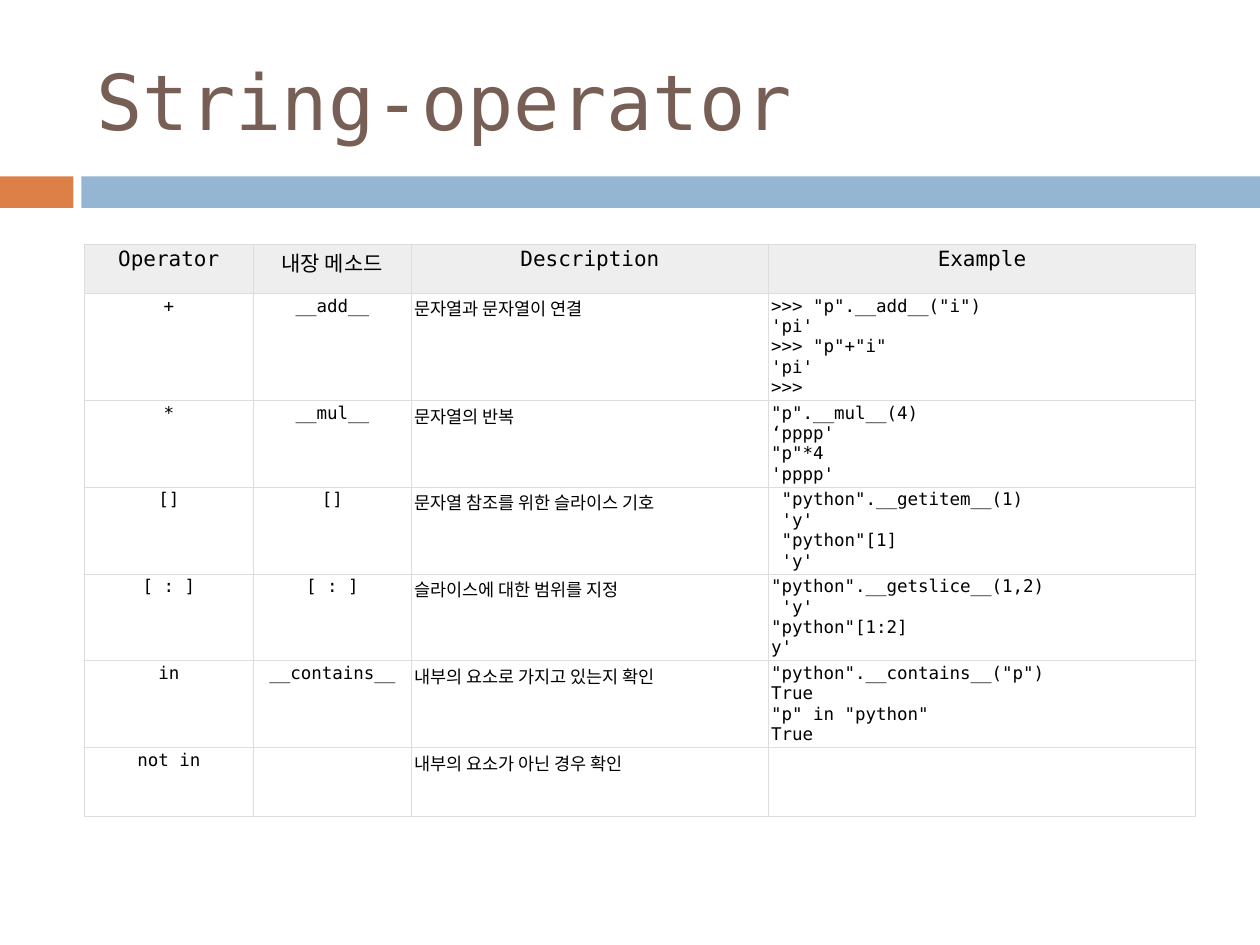
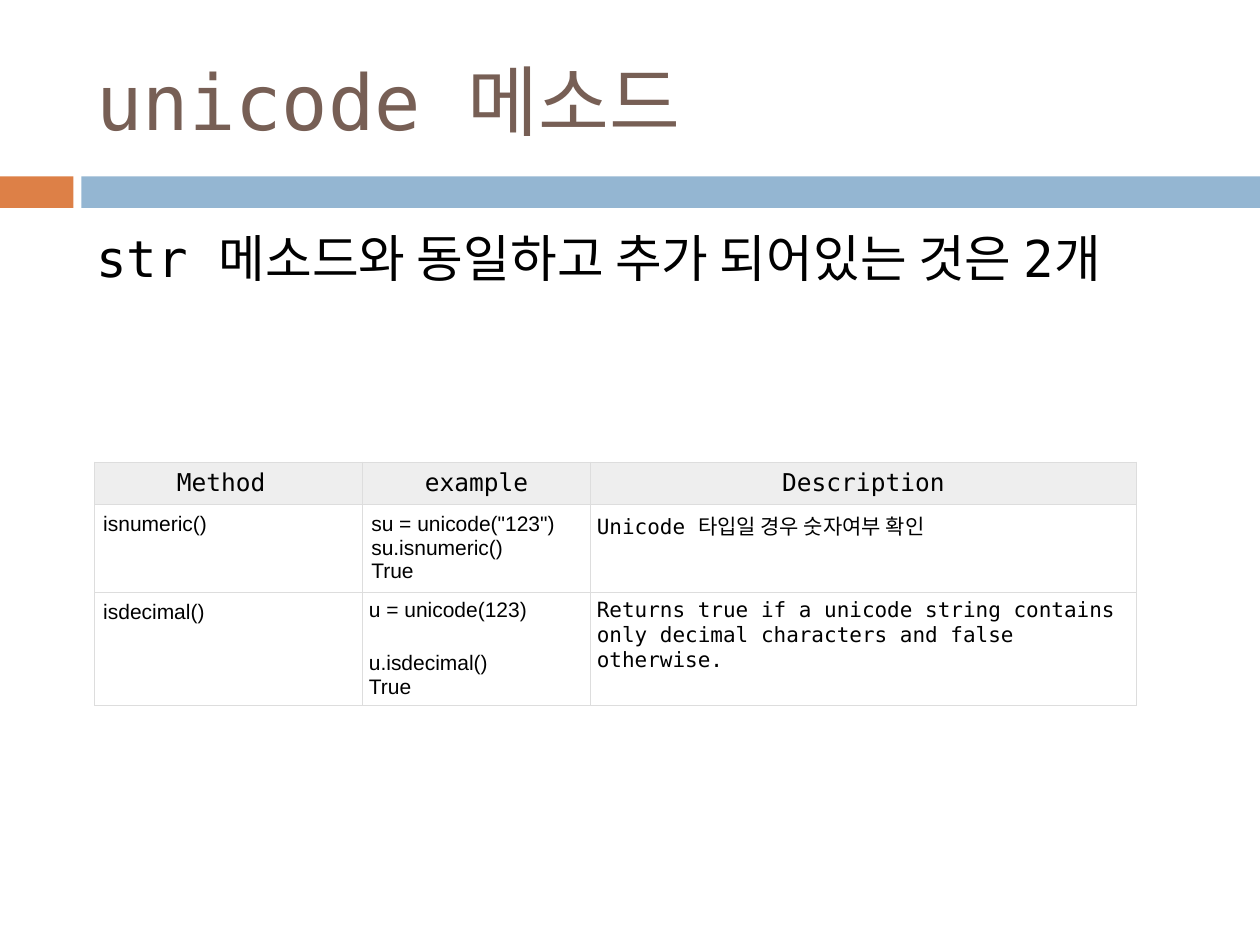
"""Build two slides on string operators and unicode methods."""
from dataclasses import dataclass, replace

from lxml import etree
from pptx import Presentation
from pptx.dml.color import RGBColor
from pptx.enum.shapes import MSO_SHAPE
from pptx.enum.text import MSO_ANCHOR, MSO_AUTO_SIZE, PP_ALIGN
from pptx.oxml.ns import qn
from pptx.util import Pt

RECTANGLE = MSO_SHAPE.RECTANGLE
TOP, MIDDLE = MSO_ANCHOR.TOP, MSO_ANCHOR.MIDDLE
LEFT, CENTER = PP_ALIGN.LEFT, PP_ALIGN.CENTER
NO_FIT = MSO_AUTO_SIZE.NONE

COLORS = {
    "orange": "DD8047",
    "blue": "94B6D2",
    "title": "775F55",
    "text": "000000",
    "header": "EEEEEE",
    "border": "DDDDDD",
}
MONO, SANS = "DejaVu Sans Mono", "Arial"
TITLE_ONLY = 5
BORDER_WIDTH = 0.6


@dataclass(frozen=True)
class Area:
    left: float
    top: float
    width: float
    height: float

    def lengths(self) -> list:
        return [Pt(value) for value in (self.left, self.top, self.width, self.height)]


@dataclass(frozen=True)
class Band:
    area: Area
    color: str


@dataclass(frozen=True)
class TextStyle:
    size: float
    font: str = MONO
    color: str = "text"
    align: PP_ALIGN = LEFT
    inset: float = 1.5
    gap_line: int = 0
    gap: float = 0


@dataclass(frozen=True)
class Grid:
    area: Area
    columns: tuple
    heights: tuple
    header_style: TextStyle
    body_styles: list
    rows: list


BANDS = (
    Band(Area(0, 100.8, 42, 18), "orange"),
    Band(Area(46.5, 100.8, 673.5, 18), "blue"),
)
TITLE_AREA = Area(48, 18, 642, 78)
SUMMARY_AREA = Area(48, 126, 642, 81)
TITLE_STYLE = TextStyle(44, color="title")
SUMMARY_STYLE = TextStyle(29)

CODE = TextStyle(10)
LABEL = replace(CODE, align=CENTER)
OPERATORS = Grid(
    area=Area(48.2, 139.6, 635, 334.8),
    columns=(96.5, 90.5, 204, 244),
    heights=(28, 32.4, 39.6, 25.2, 32.4, 32.4, 39.6),
    header_style=replace(LABEL, size=12),
    body_styles=[(LABEL, LABEL, CODE, CODE)] * 6,
    rows=[
        ("Operator", "내장 메소드", "Description", "Example"),
        ("+", "__add__", "문자열과 문자열이 연결",
         ">>> \"p\".__add__(\"i\")\n'pi'\n>>> \"p\"+\"i\"\n'pi'\n>>>"),
        ("*", "__mul__", "문자열의 반복",
         "\"p\".__mul__(4)\n‘pppp'\n\"p\"*4\n'pppp'"),
        ("[]", "[]", "문자열 참조를 위한 슬라이스 기호",
         " \"python\".__getitem__(1)\n 'y'\n \"python\"[1]\n 'y'"),
        ("[ : ]", "[ : ]", "슬라이스에 대한 범위를 지정",
         "\"python\".__getslice__(1,2)\n 'y'\n\"python\"[1:2]\ny'"),
        ("in", "__contains__", "내부의 요소로 가지고 있는지 확인",
         "\"python\".__contains__(\"p\")\nTrue\n\"p\" in \"python\"\nTrue"),
        ("not in", "", "내부의 요소가 아닌 경우 확인", ""),
    ],
)

METHOD = TextStyle(12, font=SANS, inset=5)
SPACED_EXAMPLE = replace(METHOD, inset=3.6, gap_line=1, gap=17)
EXPLANATION = TextStyle(12, inset=3.6)
METHODS = Grid(
    area=Area(54, 264, 595.5, 141.8),
    columns=(153.2, 130.3, 312),
    heights=(24, 31, 31),
    header_style=replace(EXPLANATION, size=14, align=CENTER),
    body_styles=[
        (METHOD, METHOD, EXPLANATION),
        (METHOD, SPACED_EXAMPLE, EXPLANATION),
    ],
    rows=[
        ("Method ", "example", "Description"),
        ("isnumeric()", "su = unicode(\"123\")\nsu.isnumeric()\nTrue",
         "Unicode 타입일 경우 숫자여부 확인"),
        ("isdecimal()", "u = unicode(123)\nu.isdecimal()\nTrue",
         "Returns true if a unicode string contains only decimal characters and false otherwise."),
    ],
)


def rgb(color: str) -> RGBColor:
    return RGBColor.from_string(COLORS[color])


def set_values(target, values: dict) -> None:
    for name, value in values.items():
        setattr(target, name, value)


def write_text(frame, text: str, style: TextStyle) -> None:
    for index, line in enumerate(text.split("\n")):
        para = frame.paragraphs[0] if index == 0 else frame.add_paragraph()
        space = style.gap if index and index == style.gap_line else 0
        set_values(para, {"alignment": style.align, "space_before": Pt(space)})
        if line:
            span = para.add_run()
            span.text = line
            font = span.font
        else:
            font = para.font
        set_values(font, {"name": style.font, "size": Pt(style.size), "bold": False})
        font.color.rgb = rgb(style.color)


def add_band(page, band: Band) -> None:
    box = page.shapes.add_shape(RECTANGLE, *band.area.lengths())
    box.shadow.inherit = False
    box.fill.solid()
    box.fill.fore_color.rgb = rgb(band.color)
    box.line.fill.background()


def place_text(box, area: Area, text: str, style: TextStyle, anchor: MSO_ANCHOR) -> None:
    set_values(box, dict(zip(("left", "top", "width", "height"), area.lengths())))
    set_values(box.text_frame, {
        "word_wrap": True, "auto_size": NO_FIT, "vertical_anchor": anchor,
    })
    write_text(box.text_frame, text, style)


def add_page(deck, title: str):
    page = deck.slides.add_slide(deck.slide_layouts[TITLE_ONLY])
    for band in BANDS:
        add_band(page, band)
    place_text(page.shapes.title, TITLE_AREA, title, TITLE_STYLE, MIDDLE)
    return page


def add_borders(cell) -> None:
    properties = cell._tc.get_or_add_tcPr()
    for side in ("lnL", "lnR", "lnT", "lnB"):
        line = etree.SubElement(properties, qn(f"a:{side}"), w=str(Pt(BORDER_WIDTH)))
        fill = etree.SubElement(line, qn("a:solidFill"))
        etree.SubElement(fill, qn("a:srgbClr"), val=COLORS["border"])


def fill_cell(cell, text: str, style: TextStyle, is_header: bool) -> None:
    sides = ("margin_left", "margin_right", "margin_top", "margin_bottom")
    set_values(cell, dict.fromkeys(sides, Pt(style.inset)))
    add_borders(cell)
    if is_header:
        cell.fill.solid()
        cell.fill.fore_color.rgb = rgb("header")
    else:
        cell.fill.background()
    write_text(cell.text_frame, text, style)


def add_grid(page, grid: Grid) -> None:
    size = len(grid.rows), len(grid.columns)
    table = page.shapes.add_table(*size, *grid.area.lengths()).table
    set_values(table, {"first_row": False, "horz_banding": False})
    for column, width in zip(table.columns, grid.columns):
        column.width = Pt(width)
    for row, height in zip(table.rows, grid.heights):
        row.height = Pt(height)
    styles = [(grid.header_style,) * len(grid.columns), *grid.body_styles]
    for row_index, (texts, row_styles) in enumerate(zip(grid.rows, styles)):
        for column_index, (text, style) in enumerate(zip(texts, row_styles)):
            fill_cell(table.cell(row_index, column_index), text, style, row_index == 0)


def main() -> None:
    deck = Presentation()
    set_values(deck, {"slide_width": Pt(720), "slide_height": Pt(540)})
    add_grid(add_page(deck, "String-operator"), OPERATORS)
    page = add_page(deck, "unicode 메소드")
    summary = page.shapes.add_textbox(*SUMMARY_AREA.lengths())
    place_text(summary, SUMMARY_AREA, "str 메소드와 동일하고 추가 되어있는 것은 2개", SUMMARY_STYLE, TOP)
    add_grid(page, METHODS)
    deck.save("out.pptx")


if __name__ == "__main__":
    main()
